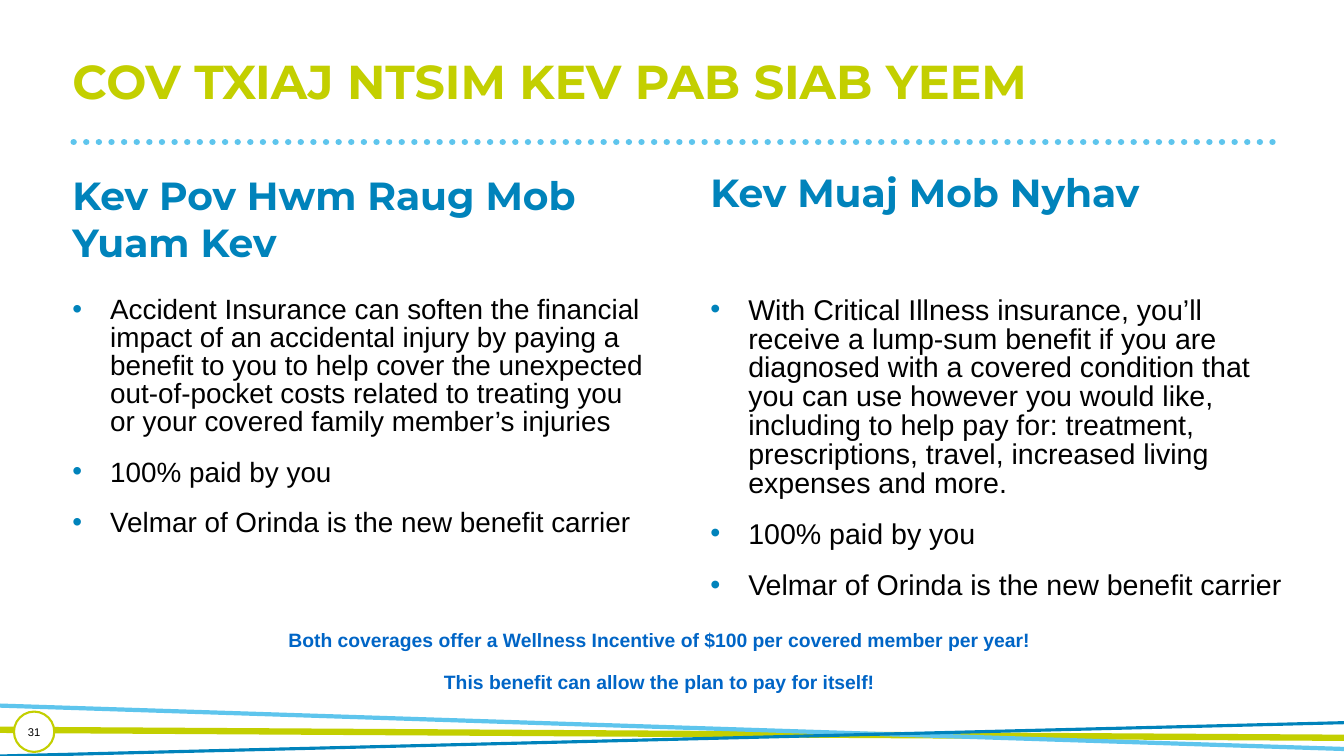
from pptx import Presentation
from pptx.dml.color import RGBColor
from pptx.enum.dml import MSO_LINE
from pptx.enum.shapes import MSO_CONNECTOR, MSO_SHAPE
from pptx.enum.text import MSO_ANCHOR, PP_ALIGN
from pptx.oxml.ns import qn
from pptx.util import Pt
from lxml import etree

STRAIGHT = MSO_CONNECTOR.STRAIGHT
OVAL = MSO_SHAPE.OVAL
DOTTED = MSO_LINE.ROUND_DOT
CENTER = PP_ALIGN.CENTER
MIDDLE = MSO_ANCHOR.MIDDLE

LIME, SKY, BLUE, NOTE = "C3CF00", "5EC5ED", "0083BB", "0065C6"
LEFT, RIGHT = 44.6, 500.4
SPACED = {"line_spacing": 0.84, "space_before": Pt(10), "space_after": Pt(6)}


def rgb(value):
    return RGBColor.from_string(value)


def apply(target, values):
    for name, value in values.items():
        setattr(target, name, value)


class Slide:
    title = {"size": Pt(34), "name": "Montserrat", "bold": True}
    heading = {"size": Pt(28), "name": "Montserrat", "bold": True}
    note = {"size": Pt(13.8), "name": "Arial", "bold": True}
    number = {"size": Pt(8), "name": "Arial"}

    def __init__(self, prs):
        self.s = prs.slides.add_slide(prs.slide_layouts[6])

    def line(self, x1, y1, x2, y2, color, width, dash=None):
        sp = self.s.shapes.add_connector(STRAIGHT, Pt(x1), Pt(y1), Pt(x2), Pt(y2))
        sp.line.color.rgb = rgb(color)
        sp.line.width = Pt(width)
        if dash:
            sp.line.dash_style = dash
            sp._element.spPr.find(qn("a:ln")).set("cap", "rnd")
        etree.SubElement(sp._element.spPr, qn("a:effectLst"))

    def bullet(self, p):
        pPr = p._p.get_or_add_pPr()
        pPr.set("marL", str(Pt(27)))
        pPr.set("indent", str(-Pt(27)))
        color = etree.SubElement(pPr, qn("a:buClr"))
        etree.SubElement(color, qn("a:srgbClr"), val=BLUE)
        etree.SubElement(pPr, qn("a:buFont"), typeface="Arial")
        etree.SubElement(pPr, qn("a:buChar"), char="•")

    def fill_text(self, tf, texts, font, color, layout, bullets=False):
        tf.word_wrap = True
        for i, text in enumerate(texts):
            p = tf.paragraphs[0] if i == 0 else tf.add_paragraph()
            apply(p, layout)
            if i == 0:
                p.space_before = Pt(0)
            if bullets:
                self.bullet(p)
            r = p.add_run()
            r.text = text
            apply(r.font, font)
            r.font.color.rgb = rgb(color)

    def text(self, x, y, w, h, texts, font, color, layout, bullets=False):
        sp = self.s.shapes.add_textbox(Pt(x), Pt(y), Pt(w), Pt(h))
        self.fill_text(sp.text_frame, texts, font, color, layout, bullets)

    def badge(self, x, y, size, text):
        sp = self.s.shapes.add_shape(OVAL, Pt(x), Pt(y), Pt(size), Pt(size))
        sp.shadow.inherit = False
        sp.fill.solid()
        sp.fill.fore_color.rgb = rgb("FFFFFF")
        sp.line.color.rgb = rgb(LIME)
        sp.line.width = Pt(1.5)
        tf = sp.text_frame
        apply(tf, {"margin_left": 0, "margin_right": 0, "margin_top": 0,
                   "margin_bottom": 0, "vertical_anchor": MIDDLE})
        self.fill_text(tf, [text], self.number, "000000", {"alignment": CENTER})

    def column(self, x, y, heading, size, points):
        self.text(x, y, 410.4, 52.6, [heading], self.heading, BLUE, {})
        body = {"size": Pt(size), "name": "Arial"}
        self.text(x, 208.8, 422.6, 215, points, body, "000000", SPACED, True)


def main():
    prs = Presentation()
    prs.slide_width, prs.slide_height = Pt(960), Pt(540)
    slide = Slide(prs)

    slide.line(52.6, 101.5, 911.5, 101.5, SKY, 4.5, DOTTED)
    slide.line(0, 521.3, 960, 527, LIME, 4.5)
    slide.line(960, 535, 0, 504, SKY, 3)
    slide.line(0, 540, 960, 516.2, BLUE, 2.25)

    slide.text(LEFT, 38.2, 866, 56.9, ["COV TXIAJ NTSIM KEV PAB SIAB YEEM"],
               slide.title, LIME, {"line_spacing": 0.9})

    shared = ["100% paid by you", "Velmar of Orinda is the new benefit carrier"]
    slide.column(LEFT, 118.8, "Kev Pov Hwm Raug Mob Yuam Kev", 19.9, [
        "Accident Insurance can soften the financial impact of an accidental "
        "injury by paying a benefit to you to help cover the unexpected "
        "out-of-pocket costs related to treating you or your covered family "
        "member’s injuries", *shared])
    slide.column(RIGHT, 116.6, "Kev Muaj Mob Nyhav", 20.4, [
        "With Critical Illness insurance, you’ll receive a lump-sum benefit if "
        "you are diagnosed with a covered condition that you can use however "
        "you would like, including to help pay for: treatment, prescriptions, "
        "travel, increased living expenses and more.", *shared])

    slide.badge(10, 508.3, 28.8, "31")
    slide.text(79.9, 447.8, 781.9, 52.6, [
        "Both coverages offer a Wellness Incentive of $100 per covered member per year!",
        "This benefit can allow the plan to pay for itself!",
    ], slide.note, NOTE, {**SPACED, "alignment": CENTER})

    prs.save("out.pptx")


if __name__ == "__main__":
    main()
